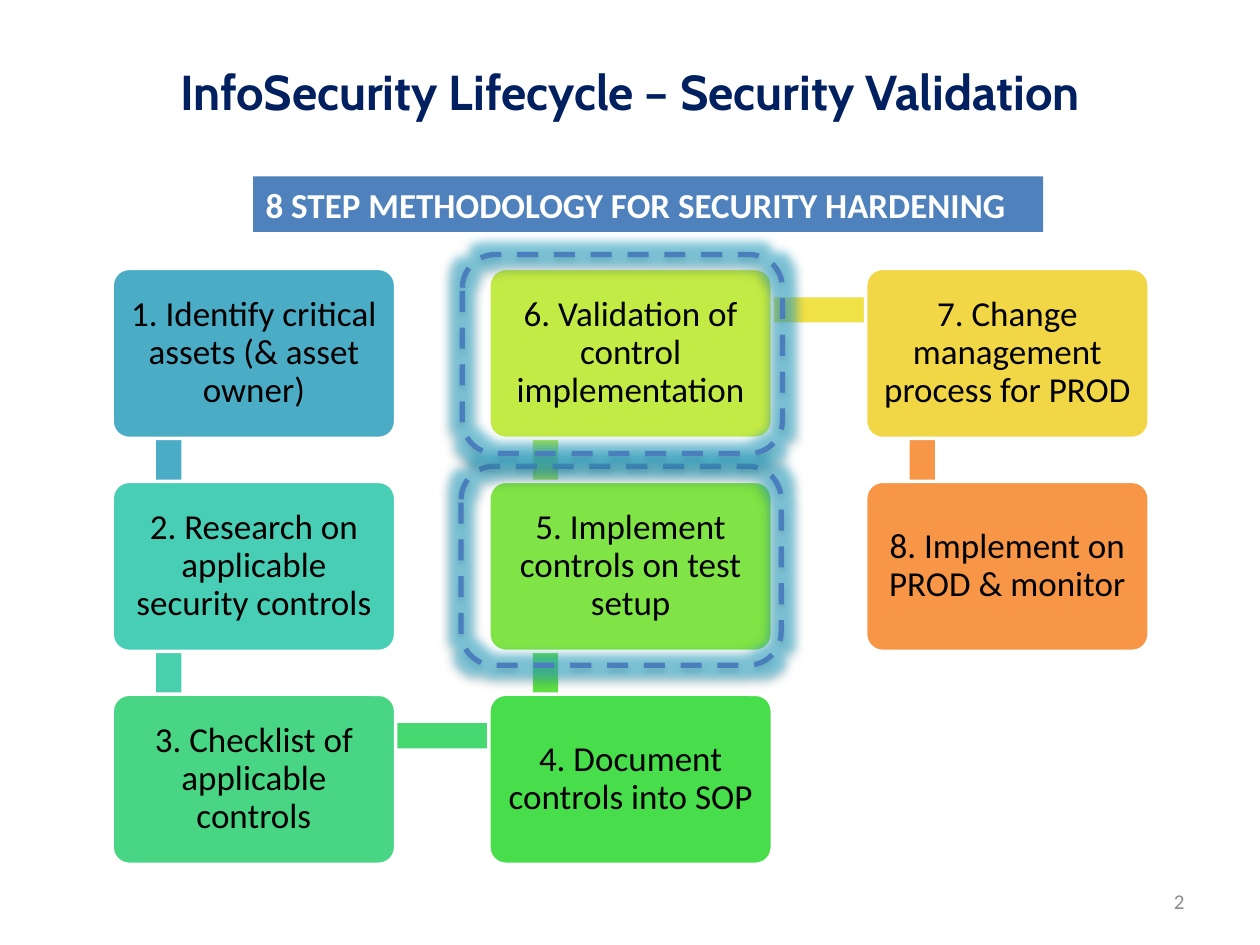
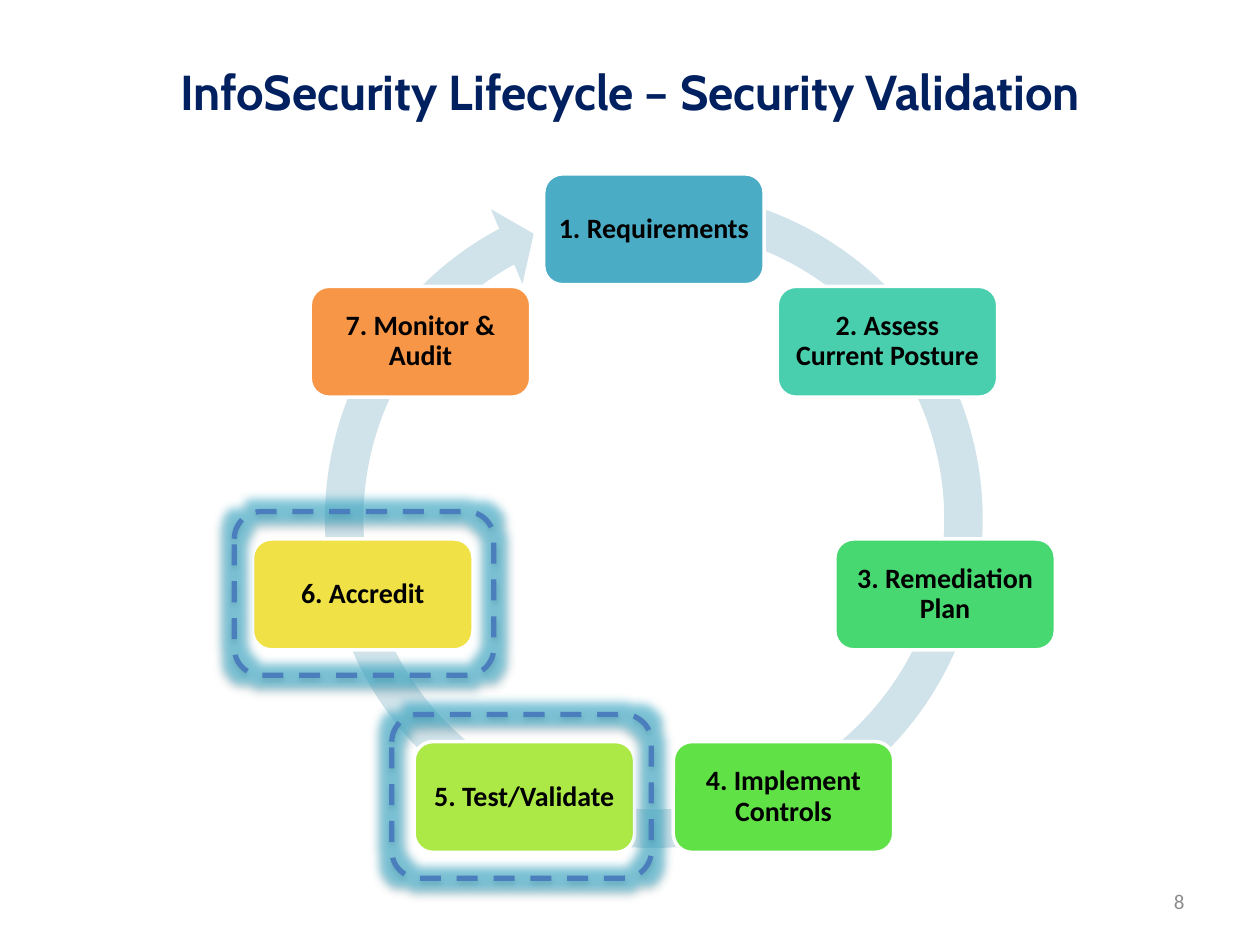
import math

import pptx
import pptx.dml.color
import pptx.enum.dml
import pptx.enum.shapes
import pptx.enum.text
import pptx.oxml
import pptx.oxml.ns
import pptx.util

Inches = pptx.util.Inches
Pt = pptx.util.Pt
RGBColor = pptx.dml.color.RGBColor
SHAPE = pptx.enum.shapes.MSO_SHAPE
ALIGN = pptx.enum.text.PP_ALIGN
MIDDLE = pptx.enum.text.MSO_ANCHOR.MIDDLE

NAVY = RGBColor(0x00, 0x20, 0x60)
GREY = RGBColor(0x8C, 0x8C, 0x8C)
BLACK = RGBColor(0x00, 0x00, 0x00)
WHITE = RGBColor(0xFF, 0xFF, 0xFF)
BANNER_BLUE = RGBColor(0x4F, 0x81, 0xBD)
DASH_BLUE = RGBColor(0x4B, 0x7E, 0xBC)
RING_BLUE = RGBColor(0xD0, 0xE3, 0xEA)
TEAL = RGBColor(0x4B, 0xAC, 0xC6)
ORANGE = RGBColor(0xF7, 0x96, 0x46)
SPECTRUM = [
    TEAL,
    RGBColor(0x49, 0xCF, 0xAE),
    RGBColor(0x47, 0xD8, 0x72),
    RGBColor(0x60, 0xE1, 0x46),
    RGBColor(0xAC, 0xE9, 0x46),
    RGBColor(0xF0, 0xE1, 0x46),
    ORANGE,
]

TITLE = "InfoSecurity Lifecycle – Security Validation"
BODY_FONT = "Calibri"
TITLE_FONT = "Cabin"

HARDENING_STEPS = [
    ("1. Identify critical assets (& asset owner)", 0, 0, TEAL),
    ("2. Research on applicable security controls", 0, 1, RGBColor(0x49, 0xCE, 0xB6)),
    ("3. Checklist of applicable controls", 0, 2, RGBColor(0x48, 0xD6, 0x84)),
    ("4. Document controls into SOP", 1, 2, RGBColor(0x47, 0xDD, 0x4B)),
    ("5. Implement controls on test setup", 1, 1, RGBColor(0x80, 0xE4, 0x46)),
    ("6. Validation of control implementation", 1, 0, RGBColor(0xC3, 0xEB, 0x46)),
    ("7. Change management process for PROD", 2, 0, RGBColor(0xF1, 0xD7, 0x46)),
    ("8. Implement on PROD & monitor", 2, 1, ORANGE),
]
STEP_W, STEP_H = 2.25, 1.35
COLUMN_PITCH, ROW_PITCH = 2.99, 1.69

CYCLE_STAGES = [
    "1. Requirements",
    "2. Assess Current Posture",
    "3. Remediation Plan",
    "4. Implement Controls",
    "5. Test/Validate",
    "6. Accredit",
    "7. Monitor & Audit",
]
STAGE_W, STAGE_H = 1.75, 0.88
CYCLE_X, CYCLE_Y, CYCLE_RADIUS = 5.19, 4.19, 2.37

HIGHLIGHT_EFFECTS = (
    '<a:glow %s rad="139700"><a:srgbClr val="35B4D6">'
    '<a:alpha val="55000"/></a:srgbClr></a:glow>',
    '<a:outerShdw %s blurRad="40000" dist="23000" dir="5400000" rotWithShape="0">'
    '<a:srgbClr val="000000"><a:alpha val="35000"/></a:srgbClr></a:outerShdw>',
)


def write(sp, text, size, color, align, bold=False, font=BODY_FONT, inset=None):
    tf = sp.text_frame
    tf.word_wrap = True
    tf.vertical_anchor = MIDDLE
    if inset is not None:
        tf.margin_left = tf.margin_right = Inches(inset)
        tf.margin_top = tf.margin_bottom = Inches(inset)
    p = tf.paragraphs[0]
    p.alignment = align
    r = p.add_run()
    r.text = text
    r.font.size = Pt(size)
    r.font.name = font
    r.font.bold = bold
    r.font.color.rgb = color
    return p


def add_label(slide, x, y, w, h, *style, **options):
    sp = slide.shapes.add_textbox(Inches(x), Inches(y), Inches(w), Inches(h))
    write(sp, *style, **options)


def add_block(slide, kind, x, y, w, h, fill=None):
    sp = slide.shapes.add_shape(kind, Inches(x), Inches(y), Inches(w), Inches(h))
    sp.shadow.inherit = False
    if fill is None:
        sp.fill.background()
    else:
        sp.fill.solid()
        sp.fill.fore_color.rgb = fill
    sp.line.fill.background()
    return sp


def add_node(slide, x, y, w, h, fill, text, size, bold, inset, corner):
    sp = add_block(slide, SHAPE.ROUNDED_RECTANGLE, x, y, w, h, fill)
    sp.adjustments[0] = corner
    sp.line.color.rgb = WHITE
    sp.line.width = Pt(2)
    p = write(sp, text, size, BLACK, ALIGN.CENTER, bold=bold, inset=inset)
    p.line_spacing = 0.9


def add_highlight(slide, x, y, w, h):
    sp = add_block(slide, SHAPE.ROUNDED_RECTANGLE, x, y, w, h)
    sp.line.color.rgb = DASH_BLUE
    sp.line.width = Pt(3)
    sp.line.dash_style = pptx.enum.dml.MSO_LINE.DASH
    effects = sp._element.spPr.find(pptx.oxml.ns.qn("a:effectLst"))
    for xml in HIGHLIGHT_EFFECTS:
        effects.append(pptx.oxml.parse_xml(xml % pptx.oxml.ns.nsdecls("a")))


def add_lifecycle_slide(prs, number):
    slide = prs.slides.add_slide(prs.slide_layouts[6])
    add_label(slide, 7.17, 6.95, 2.33, 0.4, str(number), 12, GREY, ALIGN.RIGHT)
    add_label(slide, 0.5, 0.23, 9, 0.98, TITLE, 28, NAVY, ALIGN.CENTER,
              bold=True, font=TITLE_FONT)
    return slide


def add_step_link(slide, start, end, color):
    column, row = min(start[0], end[0]), min(start[1], end[1])
    dx, dy = column * COLUMN_PITCH, row * ROW_PITCH
    if start[0] == end[0]:
        box = (1.24 + dx, 2.47 + dy, 0.2, 1.68)
    else:
        box = (1.35 + dx, 2.36 + dy, 2.98, 0.2)
    add_block(slide, SHAPE.RECTANGLE, *box, color)


def build_hardening(prs):
    slide = add_lifecycle_slide(prs, 2)
    cells = [(column, row) for _, column, row, _ in HARDENING_STEPS]
    for start, end, color in zip(cells, cells[1:], SPECTRUM):
        add_step_link(slide, start, end, color)
    for text, column, row, color in HARDENING_STEPS:
        add_node(slide, 0.89 + column * COLUMN_PITCH, 2.13 + row * ROW_PITCH,
                 STEP_W, STEP_H, color, text, 20, False, 0.08, 0.1)
    banner = add_block(slide, SHAPE.RECTANGLE, 2.01, 1.4, 6.27, 0.44, BANNER_BLUE)
    write(banner, "8 STEP METHODOLOGY FOR SECURITY HARDENING", 20, WHITE,
          ALIGN.LEFT, bold=True)
    for x, y in ((3.66, 3.7), (3.67, 2.02)):
        add_highlight(slide, x, y, 2.54, 1.58)


def build_cycle(prs):
    slide = add_lifecycle_slide(prs, 8)
    ring = add_block(slide, SHAPE.CIRCULAR_ARROW, 2.41, 1.34, 5.56, 5.56, RING_BLUE)
    for i, value in enumerate((0.055, 3.31, 144.98, 169.6, 0.058)):
        ring.adjustments[i] = value
    for i, (text, color) in enumerate(zip(CYCLE_STAGES, SPECTRUM)):
        angle = 2 * math.pi * i / len(CYCLE_STAGES)
        x = CYCLE_X + CYCLE_RADIUS * math.sin(angle) - STAGE_W / 2
        y = CYCLE_Y - CYCLE_RADIUS * math.cos(angle) - STAGE_H / 2
        add_node(slide, x, y, STAGE_W, STAGE_H, color, text, 16, True, 0.07, 0.17)
    for x, y in ((3.11, 5.67), (1.86, 4.06)):
        add_highlight(slide, x, y, 2.06, 1.3)


def main():
    prs = pptx.Presentation()
    prs.slide_width = Inches(10)
    prs.slide_height = Inches(7.5)
    build_hardening(prs)
    build_cycle(prs)
    prs.save("out.pptx")


if __name__ == "__main__":
    main()
